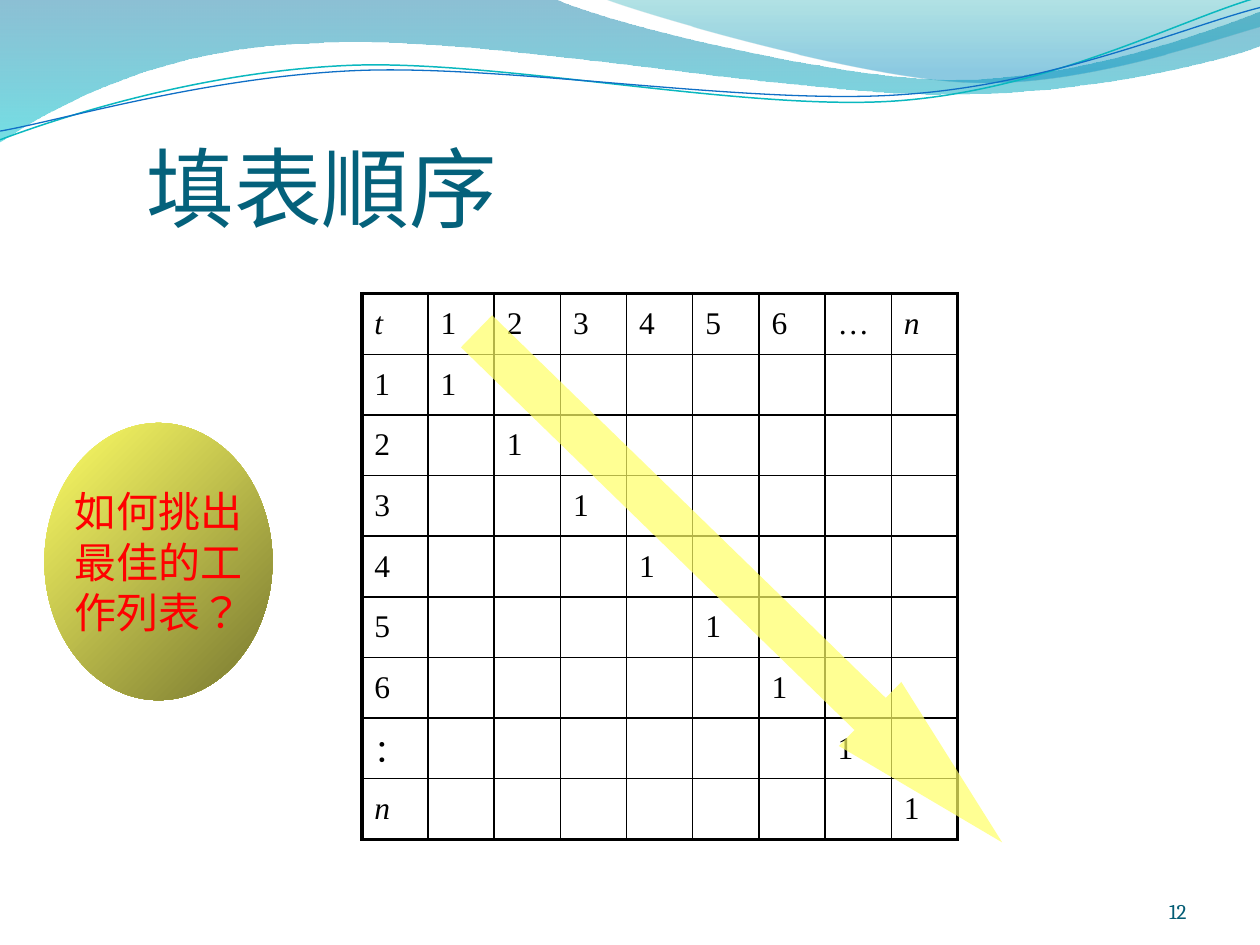
from lxml import etree
from pptx import Presentation
from pptx.dml.color import RGBColor
from pptx.enum.lang import MSO_LANGUAGE_ID
from pptx.enum.shapes import MSO_SHAPE
from pptx.enum.text import MSO_ANCHOR, MSO_AUTO_SIZE, PP_ALIGN
from pptx.oxml.ns import qn
from pptx.util import Pt

OVAL, ARROW = MSO_SHAPE.OVAL, MSO_SHAPE.RIGHT_ARROW
MIDDLE, BOTTOM = MSO_ANCHOR.MIDDLE, MSO_ANCHOR.BOTTOM
LEFT, CENTER, RIGHT = PP_ALIGN.LEFT, PP_ALIGN.CENTER, PP_ALIGN.RIGHT
NO_AUTOFIT = MSO_AUTO_SIZE.NONE
CHINESE = MSO_LANGUAGE_ID.TRADITIONAL_CHINESE

COLORS = {
    "title": "04617B", "number": "045D75", "ink": "000000", "question": "FF0000",
    "yellow": "FFFF66", "olive": "76762F",
    "sea": "0074A1", "aqua": "00C6CF", "teal": "00A1A9", "sky": "008BBF",
    "cyan line": "0AB8BF", "blue line": "0F6FC6",
}
HEADING_FONT, TABLE_FONT = "Cambria", "Times New Roman"
TITLE_ONLY = 5

# Wave outlines in points: one point is a straight step, three are a Bezier curve
BACK_WAVE = [
    [(0, 0)], [(316.8, -0.7)],
    [(342.7, 12.2), (478.1, 45.4), (545.8, 45.4)],
    [(614.2, 45.4), (689.8, 18.7), (720, 6.5)],
    [(720.7, 25.9)],
    [(707.8, 31.7), (626.4, 54.7), (537.1, 54)],
    [(447.8, 54), (275, 20.2), (185, 24.5)],
    [(92.9, 25.9), (33.1, 59.8), (-0.7, 81.4)],
    [(0, 0)],
]
FRONT_WAVE = [
    [(344.9, -0.7)],
    [(366.5, 7.9), (491, 44.6), (553.7, 46.8)],
    [(616.3, 49.7), (691.9, 23), (720, 15.1)],
    [(720, 0)], [(344.9, -0.7)],
]
CYAN_LINE = [
    [(0, 79.9)],
    [(34.6, 67), (113.8, 41), (199.4, 37.4)],
    [(284.4, 33.8), (427, 64.1), (513.4, 57.6)],
    [(599.8, 51.1), (675.4, 10.8), (718.6, -1.4)],
]
BLUE_LINE = [
    [(0, 74.9)],
    [(33.8, 69.1), (118.1, 43.9), (203.8, 40.3)],
    [(290.2, 36.7), (429.8, 60.5), (516.2, 54)],
    [(601.9, 48.2), (677.5, 15.1), (720, 4.3)],
]

# The same labels head the columns and the rows, except the ellipsis
COLUMN_HEADS = ["t", "1", "2", "3", "4", "5", "6", "…", "n"]
ROW_HEADS = ["t", "1", "2", "3", "4", "5", "6", "：", "n"]
COLUMN_WIDTH, ROW_HEIGHT = 37.84, 34.64
THIN, THICK = 1, 2.25


def rgb(name):
    return RGBColor.from_string(COLORS[name])


def style(para, font, size, color, align=LEFT):
    para.alignment = align
    para.font.name = font
    para.font.size = Pt(size)
    para.font.color.rgb = rgb(color)


def mark_chinese(para):
    for span in para.runs:
        span.font.language_id = CHINESE


def set_insets(frame, top=0):
    frame.margin_left = frame.margin_right = frame.margin_bottom = 0
    frame.margin_top = Pt(top)


def set_alpha(shape, *percents):
    colors = shape.fill._xPr.iter(qn("a:srgbClr"))
    for color, percent in zip(colors, percents):
        etree.SubElement(color, qn("a:alpha"), val=str(percent * 1000))


def fill_gradient(shape, start, end, clockwise, end_position=1):
    shape.fill.gradient()
    shape.fill.gradient_angle = 360 - clockwise
    first, last = shape.fill.gradient_stops
    first.color.rgb, last.color.rgb = rgb(start), rgb(end)
    first.position, last.position = 0, end_position


def add_outline(slide, outline, close):
    points = [(Pt(x), Pt(y)) for piece in outline for x, y in piece]
    builder = slide.shapes.build_freeform(*points[0])
    builder.add_line_segments(points[1:], close=close)
    shape = builder.convert_to_shape()
    shape.shadow.inherit = False

    # Join each three steps of a curve into one Bezier segment
    steps = shape._element.iter(qn("a:lnTo"))
    steps = iter(list(steps))
    for piece in outline[1:]:
        parts = [next(steps) for _ in piece]
        if len(parts) == 3:
            curve = etree.Element(qn("a:cubicBezTo"))
            parts[0].addprevious(curve)
            for part in parts:
                curve.append(part[0])
                part.getparent().remove(part)
    return shape


def add_wave(slide, outline, start, end, alphas, end_position=1):
    wave = add_outline(slide, outline, close=True)
    wave.line.fill.background()
    fill_gradient(wave, start, end, 90, end_position)
    set_alpha(wave, *alphas)


def add_wave_line(slide, outline, color, width):
    line = add_outline(slide, outline, close=False)
    line.fill.background()
    line.line.color.rgb = rgb(color)
    line.line.width = Pt(width)


def add_preset(slide, kind, left, top, width, height):
    shape = slide.shapes.add_shape(kind, Pt(left), Pt(top), Pt(width), Pt(height))
    shape.shadow.inherit = False
    shape.line.fill.background()
    return shape


def set_title(slide, text):
    title = slide.shapes.title
    title.left, title.top, title.width, title.height = Pt(84), Pt(23.5), Pt(594), Pt(113)
    frame = title.text_frame
    frame.text = text
    frame.auto_size = NO_AUTOFIT
    frame.vertical_anchor = BOTTOM
    set_insets(frame, top=3.6)
    style(frame.paragraphs[0], HEADING_FONT, 50, "title")
    mark_chinese(frame.paragraphs[0])


def add_page_number(slide, text):
    box = slide.shapes.add_textbox(Pt(528), Pt(492), Pt(150), Pt(36))
    frame = box.text_frame
    frame.text = text
    frame.word_wrap = True
    frame.vertical_anchor = BOTTOM
    set_insets(frame)
    style(frame.paragraphs[0], HEADING_FONT, 12, "number", RIGHT)


def set_borders(cell, widths):
    properties = cell._tc.get_or_add_tcPr()
    for index, (side, width) in enumerate(zip("LRTB", widths)):
        line = etree.Element(qn(f"a:ln{side}"), w=str(Pt(width)))
        fill = etree.SubElement(line, qn("a:solidFill"))
        etree.SubElement(fill, qn("a:srgbClr"), val=COLORS["ink"])
        properties.insert(index, line)


def cell_text(row, column):
    if row == 0:
        return COLUMN_HEADS[column]
    if column == 0:
        return ROW_HEADS[row]
    return "1" if row == column else ""


def add_order_table(slide):
    count = len(COLUMN_HEADS)
    table = slide.shapes.add_table(
        count, count, Pt(206.8), Pt(167.8),
        Pt(COLUMN_WIDTH * count), Pt(ROW_HEIGHT * count)).table
    table.first_row = table.horz_banding = False
    for index in range(count):
        table.columns[index].width = Pt(COLUMN_WIDTH)
        table.rows[index].height = Pt(ROW_HEIGHT)
    last = count - 1
    for row in range(count):
        for column in range(count):
            cell = table.cell(row, column)
            cell.text = cell_text(row, column)
            cell.vertical_anchor = MIDDLE
            cell.fill.background()
            para = cell.text_frame.paragraphs[0]
            style(para, TABLE_FONT, 18, "ink")
            para.font.italic = cell.text in ("t", "n")
            on_edge = (column == 0, column == last, row == 0, row == last)
            set_borders(cell, [THICK if edge else THIN for edge in on_edge])


def add_diagonal_arrow(slide):
    arrow = add_preset(slide, ARROW, 213, 309.8, 419, 51.1)
    arrow.adjustments[0], arrow.adjustments[1] = 0.5, 2.06
    arrow.rotation = 44.2
    arrow.fill.solid()
    arrow.fill.fore_color.rgb = rgb("yellow")
    set_alpha(arrow, 70)


def add_question(slide, lines):
    oval = add_preset(slide, OVAL, 25.4, 241.7, 130.3, 158.4)
    fill_gradient(oval, "yellow", "olive", 45)
    frame = oval.text_frame
    frame.text = "\n".join(lines)
    frame.word_wrap = False
    frame.vertical_anchor = MIDDLE
    for para in frame.paragraphs:
        style(para, HEADING_FONT, 24, "question", CENTER)
        mark_chinese(para)


def main():
    deck = Presentation()
    deck.slide_width, deck.slide_height = Pt(720), Pt(540)
    slide = deck.slides.add_slide(deck.slide_layouts[TITLE_ONLY])
    # Wave band along the top
    add_wave(slide, BACK_WAVE, "sea", "aqua", (45, 55))
    add_wave(slide, FRONT_WAVE, "teal", "sky", (30, 45), end_position=0.8)
    add_wave_line(slide, CYAN_LINE, "cyan line", 0.85)
    add_wave_line(slide, BLUE_LINE, "blue line", 0.75)
    # Content
    set_title(slide, "填表順序")
    add_page_number(slide, "12")
    add_order_table(slide)
    add_diagonal_arrow(slide)
    add_question(slide, ["如何挑出", "最佳的工", "作列表？"])
    deck.save("out.pptx")


if __name__ == "__main__":
    main()
